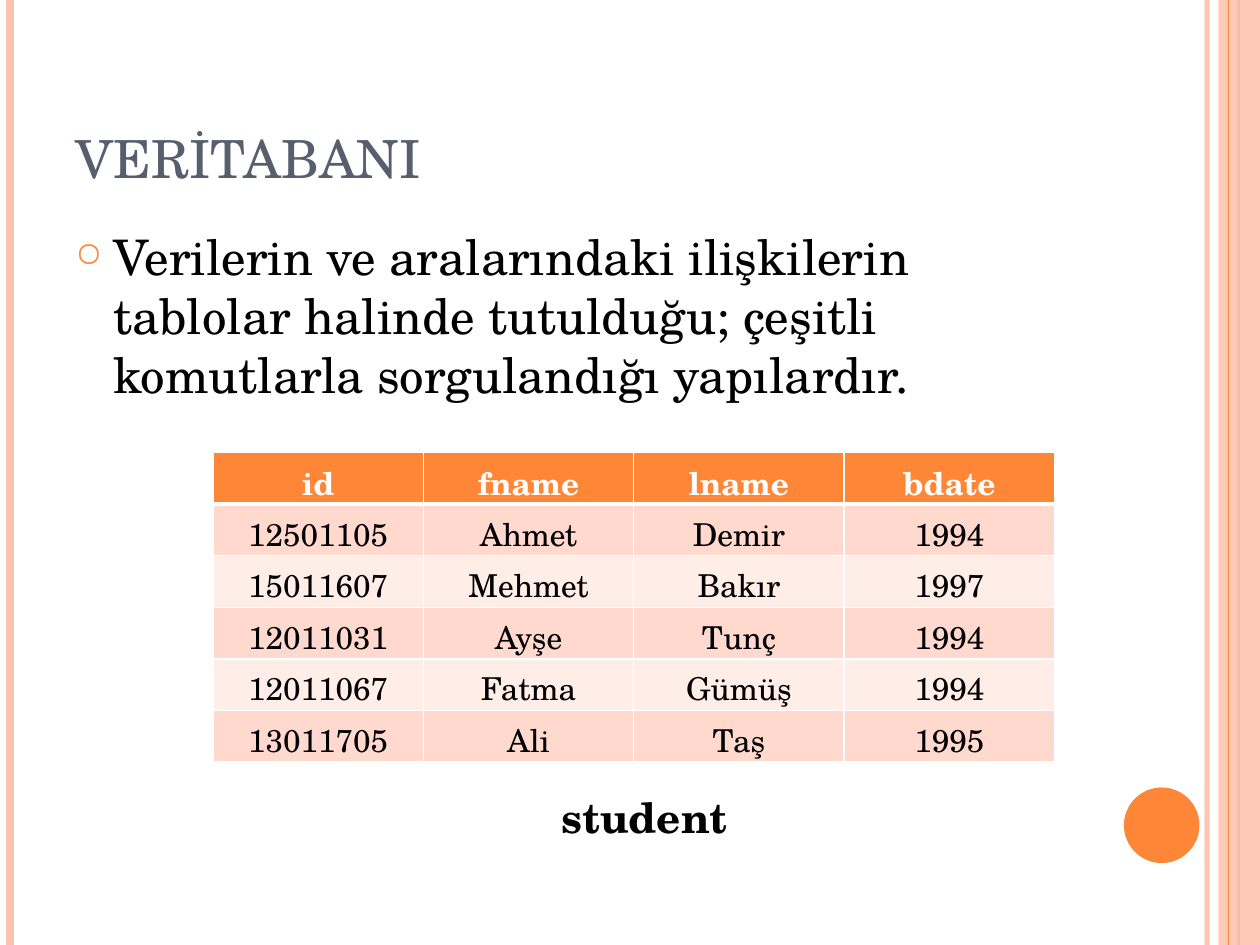
from dataclasses import dataclass

from lxml import etree
from pptx import Presentation
from pptx.dml.color import RGBColor
from pptx.enum.shapes import MSO_CONNECTOR, MSO_SHAPE
from pptx.enum.text import MSO_ANCHOR, PP_ALIGN
from pptx.oxml.ns import qn
from pptx.util import Inches, Pt

STRAIGHT = MSO_CONNECTOR.STRAIGHT
RECTANGLE, OVAL = MSO_SHAPE.RECTANGLE, MSO_SHAPE.OVAL
TOP, BOTTOM = MSO_ANCHOR.TOP, MSO_ANCHOR.BOTTOM
CENTER = PP_ALIGN.CENTER


@dataclass(frozen=True)
class Theme:
    font: str = "TeX Gyre Schola"
    accent: str = "FE8637"
    pale: str = "FEC3AE"
    heading: str = "575F6D"
    ink: str = "000000"
    white: str = "FFFFFF"
    bands: tuple = ("FFD9CE", "FFEDE8")
    title_size: int = 30
    body_size: int = 28
    caption_size: int = 24
    table_size: int = 18


@dataclass(frozen=True)
class Stripe:
    x: float
    color: str
    width: float
    opacity: int = 100


@dataclass(frozen=True)
class Block:
    shape: int
    left: float
    top: float
    width: float
    height: float
    color: str
    opacity: int = 100


@dataclass(frozen=True)
class Label:
    text: str
    left: float
    top: float
    width: float
    height: float
    size: int
    color: str
    bold: bool = False
    anchor: int = TOP
    wrap: bool = True


THEME = Theme()
PAGE_WIDTH, PAGE_HEIGHT = 10, 7.5
DECORATIONS = (
    Stripe(9.58, THEME.pale, 3, 93),
    Stripe(0.08, THEME.pale, 4.5),
    Stripe(9.83, THEME.accent, 1.5),
    Block(RECTANGLE, 9.67, 0, 0.33, PAGE_HEIGHT, THEME.pale, 87),
    Stripe(9.75, THEME.accent, 0.75),
    Block(OVAL, 8.92, 6.25, 0.6, 0.6, THEME.accent),
)
TITLE = Label("VERİTABANI", 0.5, 0.3, 8.17, 1.25,
              THEME.title_size, THEME.heading, anchor=BOTTOM)
DEFINITION = Label(
    "Verilerin ve aralarındaki ilişkilerin tablolar halinde tutulduğu; "
    "çeşitli komutlarla sorgulandığı yapılardır.",
    0.5, 1.75, 8.17, 5.33, THEME.body_size, THEME.ink)
CAPTION = Label("student", 4.36, 6.23, 1.54, 0.5,
                THEME.caption_size, THEME.ink, bold=True, wrap=False)
STUDENTS = (
    ("id", "fname", "lname", "bdate"),
    ("12501105", "Ahmet", "Demir", "1994"),
    ("15011607", "Mehmet", "Bakır", "1997"),
    ("12011031", "Ayşe", "Tunç", "1994"),
    ("12011067", "Fatma", "Gümüş", "1994"),
    ("13011705", "Ali", "Taş", "1995"),
)
COLUMN_WIDTH, ROW_HEIGHT = 1.67, 0.41


def set_opacity(element, opacity: int) -> None:
    if opacity < 100:
        color = next(element.iter(qn("a:srgbClr")))
        etree.SubElement(color, qn("a:alpha"), val=str(opacity * 1000))


def style_para(para, size: int, color: str, bold: bool = False) -> None:
    for span in para.runs:
        span.font.name = THEME.font
        span.font.size = Pt(size)
        span.font.bold = bold
        span.font.color.rgb = RGBColor.from_string(color)


def draw_stripe(page, stripe: Stripe) -> None:
    line = page.shapes.add_connector(
        STRAIGHT, Inches(stripe.x), Inches(0), Inches(stripe.x), Inches(PAGE_HEIGHT))
    line.line.color.rgb = RGBColor.from_string(stripe.color)
    line.line.width = Pt(stripe.width)
    properties = line._element.spPr
    set_opacity(properties, stripe.opacity)
    etree.SubElement(properties, qn("a:effectLst"))


def draw_block(page, block: Block) -> None:
    shape = page.shapes.add_shape(
        block.shape, Inches(block.left), Inches(block.top),
        Inches(block.width), Inches(block.height))
    shape.shadow.inherit = False
    shape.fill.solid()
    shape.fill.fore_color.rgb = RGBColor.from_string(block.color)
    shape.line.fill.background()
    set_opacity(shape._element.spPr, block.opacity)


def draw_label(page, label: Label):
    box = page.shapes.add_textbox(
        Inches(label.left), Inches(label.top), Inches(label.width), Inches(label.height))
    frame = box.text_frame
    frame.word_wrap = label.wrap
    frame.vertical_anchor = label.anchor
    frame.text = label.text
    para = frame.paragraphs[0]
    style_para(para, label.size, label.color, label.bold)
    return para


def add_bullet(para) -> None:
    properties = para._p.get_or_add_pPr()
    properties.set("marL", str(Inches(0.3)))
    properties.set("indent", str(-Inches(0.3)))
    color = etree.SubElement(properties, qn("a:buClr"))
    etree.SubElement(color, qn("a:srgbClr"), val=THEME.accent)
    etree.SubElement(properties, qn("a:buSzPct"), val="70000")
    etree.SubElement(properties, qn("a:buChar"), char="○")


def set_borders(cell, bottom_width: float) -> None:
    properties = cell._tc.get_or_add_tcPr()
    widths = {"a:lnL": 1, "a:lnR": 1, "a:lnT": 1, "a:lnB": bottom_width}
    for position, (tag, width) in enumerate(widths.items()):
        border = etree.Element(qn(tag), w=str(Pt(width)))
        fill = etree.SubElement(border, qn("a:solidFill"))
        etree.SubElement(fill, qn("a:srgbClr"), val=THEME.white)
        properties.insert(position, border)


def draw_table(page, rows: tuple, left: float, top: float) -> None:
    column_count = len(rows[0])
    table = page.shapes.add_table(
        len(rows), column_count, Inches(left), Inches(top),
        Inches(COLUMN_WIDTH * column_count), Inches(ROW_HEIGHT * len(rows))).table
    for column in table.columns:
        column.width = Inches(COLUMN_WIDTH)
    for row_index, values in enumerate(rows):
        header = row_index == 0
        fill = THEME.accent if header else THEME.bands[(row_index - 1) % 2]
        table.rows[row_index].height = Inches(ROW_HEIGHT)
        for column_index, value in enumerate(values):
            cell = table.cell(row_index, column_index)
            cell.fill.solid()
            cell.fill.fore_color.rgb = RGBColor.from_string(fill)
            set_borders(cell, 3 if header else 1)
            cell.text_frame.text = value
            para = cell.text_frame.paragraphs[0]
            para.alignment = CENTER
            style_para(para, THEME.table_size,
                       THEME.white if header else THEME.ink, header)


def main() -> None:
    deck = Presentation()
    deck.slide_width, deck.slide_height = Inches(PAGE_WIDTH), Inches(PAGE_HEIGHT)
    page = deck.slides.add_slide(deck.slide_layouts[6])
    for item in DECORATIONS:
        if isinstance(item, Stripe):
            draw_stripe(page, item)
        else:
            draw_block(page, item)
    draw_label(page, TITLE)
    add_bullet(draw_label(page, DEFINITION))
    draw_table(page, STUDENTS, 1.69, 3.59)
    draw_label(page, CAPTION)
    deck.save("out.pptx")


if __name__ == "__main__":
    main()
